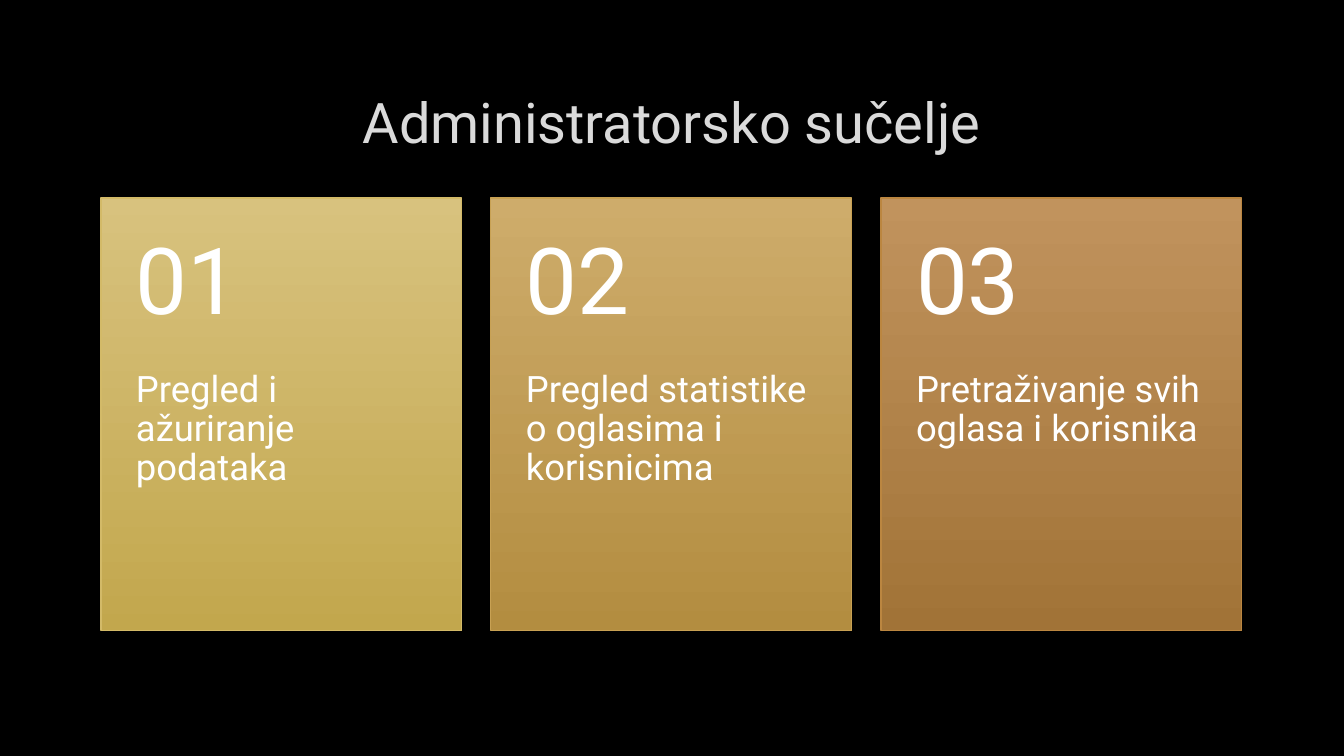
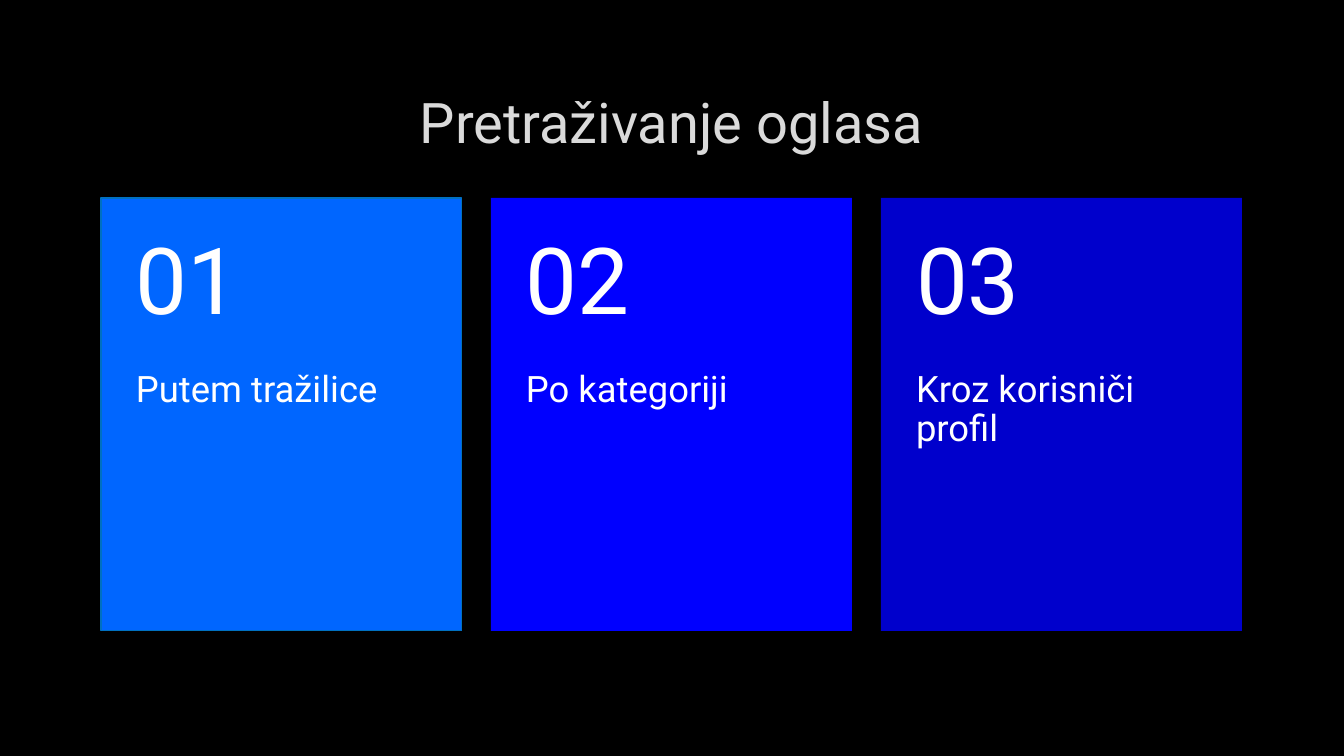
import dataclasses

import pptx
import pptx.dml.color
import pptx.enum.shapes
import pptx.enum.text
import pptx.util

PX = 914400 / 100.8  # EMU in one px
SLIDE_SIZE = (1344, 756)
TITLE_BOX = (101, 68, 1141, 107)
CARDS_BOX = (101, 198, 1141, 433)
CARD_GAP = 29
NUMBER_HEIGHT = 173

ANCHOR = pptx.enum.text.MSO_ANCHOR
ALIGN = pptx.enum.text.PP_ALIGN


@dataclasses.dataclass(frozen=True)
class Theme:
    font: str = "Roboto"
    background: str = "000000"
    title_color: str = "DADADA"
    card_text: str = "FFFFFF"
    title_size: int = 40
    number_size: int = 66
    label_size: int = 26
    line_spacing: float = 0.9
    line_width: float = 0.75


THEME = Theme()

# Each card: text, fill colours from top to bottom, line colour
SLIDES = [
    ("Administratorsko sučelje", [
        ("Pregled i ažuriranje podataka", ("D8C27E", "C2A74D"), "D3BA68"),
        ("Pregled statistike o oglasima i korisnicima", ("CEAC6B", "B38D40"), "C8A153"),
        ("Pretraživanje svih oglasa i korisnika", ("C1935D", "A17337"), "BB8640"),
    ]),
    ("Pretraživanje oglasa", [
        ("Putem tražilice", ("0066FF",), "0070C0"),
        ("Po kategoriji", ("0000FF",), None),
        ("Kroz korisniči profil", ("0000CC",), None),
    ]),
]


def px(length):
    return pptx.util.Emu(round(length * PX))


def rgb(value):
    return pptx.dml.color.RGBColor.from_string(value)


def apply(target, values):
    for name, value in values.items():
        setattr(target, name, value)


def write(frame, text, size, color, frame_format, para_format):
    """Put one formatted paragraph in a text frame."""
    apply(frame, {"word_wrap": True, **frame_format})
    para = frame.paragraphs[0]
    apply(para, para_format)
    span = para.add_run()
    span.text = text
    apply(span.font, {"name": THEME.font, "size": pptx.util.Pt(size)})
    span.font.color.rgb = rgb(color)


def paint(shape, colors, line_color):
    """Fill with one colour or a gradient running downwards."""
    if len(colors) == 1:
        shape.fill.solid()
        shape.fill.fore_color.rgb = rgb(colors[0])
    else:
        shape.fill.gradient()
        shape.fill.gradient_angle = 270
        for stop, color, position in zip(shape.fill.gradient_stops, colors, (0, 1)):
            stop.color.rgb = rgb(color)
            stop.position = position
    if line_color is None:
        shape.line.fill.background()
    else:
        shape.line.color.rgb = rgb(line_color)
        shape.line.width = pptx.util.Pt(THEME.line_width)


def add_card_text(group, box, text, size, insets, anchor):
    textbox = group.shapes.add_textbox(*map(px, box))
    sides = ("margin_left", "margin_top", "margin_right", "margin_bottom")
    frame_format = dict(zip(sides, map(px, insets)), vertical_anchor=anchor)
    write(textbox.text_frame, text, size, THEME.card_text, frame_format,
          {"line_spacing": THEME.line_spacing})


def add_card(group, box, number, label, colors, line_color):
    """A panel with its number above its label."""
    left, top, width, height = box
    panel = group.shapes.add_shape(
        pptx.enum.shapes.MSO_SHAPE.RECTANGLE, *map(px, box))
    panel.shadow.inherit = False
    paint(panel, colors, line_color)
    add_card_text(group, (left, top + NUMBER_HEIGHT, width, height - NUMBER_HEIGHT),
                  label, THEME.label_size, (35, 0, 35, 36), ANCHOR.TOP)
    add_card_text(group, (left, top, width, NUMBER_HEIGHT),
                  f"{number:02d}", THEME.number_size, (35, 18, 35, 18), ANCHOR.MIDDLE)


def add_card_row(page, box, cards):
    """Equal cards side by side across the box."""
    left, top, width, height = box
    card_width = (width - CARD_GAP * (len(cards) - 1)) / len(cards)
    group = page.shapes.add_group_shape()
    for index, card in enumerate(cards):
        card_left = left + index * (card_width + CARD_GAP)
        add_card(group, (card_left, top, card_width, height), index + 1, *card)


def add_title(page, box, text):
    title = page.shapes.title
    apply(title, dict(zip(("left", "top", "width", "height"), map(px, box))))
    write(title.text_frame, text, THEME.title_size, THEME.title_color,
          {"vertical_anchor": ANCHOR.MIDDLE}, {"alignment": ALIGN.CENTER})


def add_card_slide(deck, title, cards):
    page = deck.slides.add_slide(deck.slide_layouts.get_by_name("Title Only"))
    add_title(page, TITLE_BOX, title)
    add_card_row(page, CARDS_BOX, cards)


def main():
    deck = pptx.Presentation()
    apply(deck, dict(zip(("slide_width", "slide_height"), map(px, SLIDE_SIZE))))
    # Shared background
    fill = deck.slide_master.background.fill
    fill.solid()
    fill.fore_color.rgb = rgb(THEME.background)
    for title, cards in SLIDES:
        add_card_slide(deck, title, cards)
    deck.save("out.pptx")


if __name__ == "__main__":
    main()
